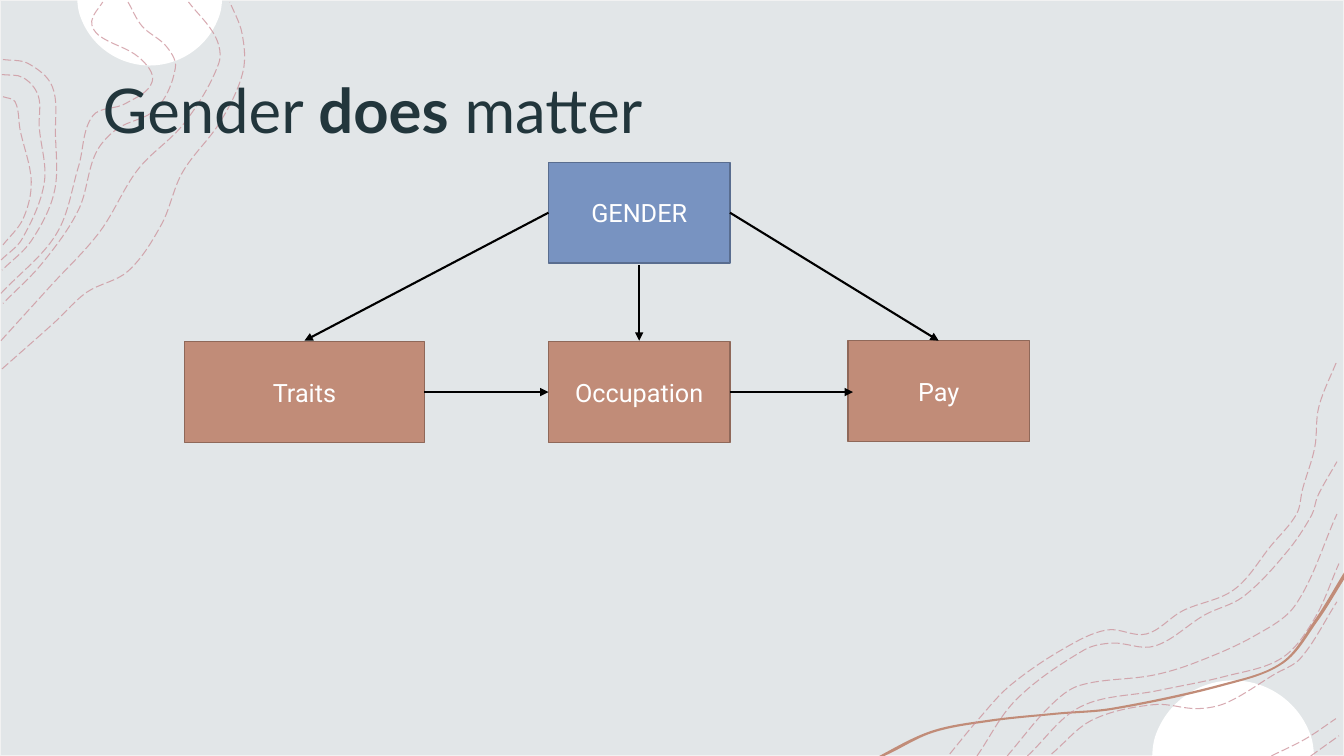
from math import acos, cos, hypot, pi, sin

from lxml.etree import SubElement
from pptx import Presentation
from pptx.dml.color import RGBColor
from pptx.enum.dml import MSO_LINE
from pptx.enum.shapes import MSO_CONNECTOR, MSO_SHAPE
from pptx.enum.text import MSO_ANCHOR, PP_ALIGN
from pptx.oxml.ns import qn
from pptx.util import Inches, Pt

COLUMNS, ROWS = 1333, 750
CELL = Inches(0.01)

COLORS = {
    "background": "E2E6E8", "frame": "F2F2F2", "white": "FFFFFF",
    "contour": "CC9099", "clay": "C18C78", "clay_edge": "8F6859",
    "blue": "7893C1", "blue_edge": "596D8F", "title": "22363C", "arrow": "000000",
}

LEFT_CONTOURS = [
    [(2, 366), (55, 319), (86, 290), (127, 269), (160, 223), (181, 171), (219, 120),
     (241, 71), (240, 33), (228, 2)],
    [(1, 338), (50, 284), (99, 230), (137, 168), (183, 122), (217, 63), (214, 37), (187, 2)],
    [(127, 2), (141, 26), (165, 46), (174, 67), (155, 108), (116, 128), (95, 152), (78, 208),
     (42, 261), (3, 301)],
    [(1, 291), (56, 232), (78, 165), (92, 115), (124, 103), (151, 81), (138, 57), (98, 35),
     (91, 21), (102, 2)],
    [(3, 59), (28, 63), (52, 86), (55, 132), (54, 190), (31, 239), (2, 268)],
    [(2, 74), (23, 77), (38, 95), (39, 126), (44, 181), (22, 237), (1, 258)],
    [(3, 96), (15, 101), (20, 129), (31, 180), (23, 217), (3, 243)],
]

RIGHT_CONTOURS = [
    [(942, 748), (971, 713), (1002, 680), (1056, 643), (1098, 625), (1137, 629), (1173, 606),
     (1224, 585), (1261, 541), (1286, 510), (1292, 485), (1304, 444), (1308, 404), (1326, 358)],
    [(969, 750), (1008, 694), (1075, 645), (1103, 638), (1145, 641), (1195, 610), (1233, 592),
     (1276, 548), (1301, 511), (1307, 492), (1326, 458)],
    [(1300, 750), (1328, 730)],
    [(1261, 750), (1295, 733), (1325, 713)],
    [(1043, 748), (1084, 714), (1145, 699), (1188, 703), (1217, 697), (1264, 669), (1290, 653),
     (1326, 597)],
    [(1019, 750), (1072, 701), (1149, 685), (1215, 671), (1271, 653), (1303, 615), (1328, 559)],
    [(999, 750), (1042, 700), (1071, 680), (1143, 670), (1184, 658), (1244, 631), (1285, 600),
     (1326, 510)],
]

BAND = [
    (1333, 575), (1307, 616), (1273, 658), (1215, 680), (1105, 704), (1048, 709), (982, 716),
    (925, 727), (877, 750),
    (872, 750), (924, 725), (981, 714), (1048, 707), (1104, 702), (1214, 678), (1271, 657),
    (1304, 615), (1333, 568),
]

BOXES = [
    ("Traits", 183, 339, 238, "clay"),
    ("Occupation", 544, 339, 180, "clay"),
    ("Pay", 841, 338, 180, "clay"),
    ("GENDER", 544, 161, 180, "blue"),
]
BOX_HEIGHT = 100

ARROWS = [
    ((421, 389), (544, 389)),
    ((724, 389), (846, 389)),
    ((544, 211), (302, 338)),
    ((634, 263), (634, 338)),
    ((724, 211), (931, 338)),
]


def grid(*cells):
    return [round(cell * CELL) for cell in cells]


def rgb(name):
    return RGBColor.from_string(COLORS[name])


def paint(shape, fill=None, edge=None, width=1):
    shape.shadow.inherit = False
    if fill:
        shape.fill.solid()
        shape.fill.fore_color.rgb = rgb(fill)
    else:
        shape.fill.background()
    if edge:
        shape.line.color.rgb = rgb(edge)
        shape.line.width = Pt(width)
    else:
        shape.line.fill.background()


def handle(anchor, before, after, toward):
    span = hypot(after[0] - before[0], after[1] - before[1])
    reach = hypot(toward[0] - anchor[0], toward[1] - anchor[1]) / 3
    return [a + (n - b) * reach / span for a, b, n in zip(anchor, before, after)]


def bend(shape):
    points = [(int(point.get("x")), int(point.get("y")))
              for point in shape._element.iter(qn("a:pt"))]
    padded = [points[0], *points, points[-1]]
    segments = list(shape._element.iter(qn("a:lnTo")))
    for segment, before, start, end, after in zip(
            segments, padded, padded[1:], padded[2:], padded[3:]):
        leaving = handle(start, before, end, end)
        arriving = handle(end, after, start, start)
        segment.tag = qn("a:cubicBezTo")
        for index, (x, y) in enumerate((leaving, arriving)):
            point = SubElement(segment, qn("a:pt"), x=str(round(x)), y=str(round(y)))
            segment.insert(index, point)


def add_curve(slide, points, close):
    first, *rest = [grid(*point) for point in points]
    builder = slide.shapes.build_freeform(*first, scale=1.0)
    builder.add_line_segments(rest, close=close)
    shape = builder.convert_to_shape()
    bend(shape)
    return shape


def add_contour(slide, points):
    shape = add_curve(slide, points, False)
    paint(shape, edge="contour", width=0.75)
    shape.line.dash_style = MSO_LINE.LONG_DASH
    color = next(shape.line._ln.iter(qn("a:srgbClr")))
    SubElement(color, qn("a:alpha"), val="75000")


def add_cap(slide, center, radius, edge_row, steps=8):
    column, row = center
    half = acos((edge_row - row) / radius) if edge_row > row else acos((row - edge_row) / radius)
    middle = pi / 2 if row < ROWS / 2 else -pi / 2
    half = pi - half if (edge_row > row) == (middle > 0) else half
    angles = [middle - half + 2 * half * step / steps for step in range(steps + 1)]
    arc = [(column + radius * cos(angle), row + radius * sin(angle)) for angle in angles]
    paint(add_curve(slide, arc, True), "white")


def add_run(paragraph, text, size, font, color, bold=False):
    run = paragraph.add_run()
    run.text = text
    run.font.size = Pt(size)
    run.font.name = font
    run.font.bold = bold
    run.font.color.rgb = rgb(color)


def add_title(slide, parts):
    frame = slide.shapes.add_textbox(*grid(92, 40, 1150, 145)).text_frame
    frame.word_wrap = True
    frame.vertical_anchor = MSO_ANCHOR.MIDDLE
    paragraph = frame.paragraphs[0]
    paragraph.line_spacing = 0.9
    for text, bold in parts:
        add_run(paragraph, text, 44, "Lato", "title", bold)


def add_box(slide, label, left, top, width, color):
    shape = slide.shapes.add_shape(MSO_SHAPE.RECTANGLE, *grid(left, top, width, BOX_HEIGHT))
    paint(shape, color, f"{color}_edge")
    shape.text_frame.vertical_anchor = MSO_ANCHOR.MIDDLE
    paragraph = shape.text_frame.paragraphs[0]
    paragraph.alignment = PP_ALIGN.CENTER
    add_run(paragraph, label, 18, "Roboto", "white")


def add_arrow(slide, start, end):
    connector = slide.shapes.add_connector(MSO_CONNECTOR.STRAIGHT, *grid(*start, *end))
    connector.line.color.rgb = rgb("arrow")
    connector.line.width = Pt(1.5)
    SubElement(connector.line._ln, qn("a:tailEnd"), type="triangle")
    SubElement(connector._element.spPr, qn("a:effectLst"))


def main():
    presentation = Presentation()
    presentation.slide_width, presentation.slide_height = grid(COLUMNS, ROWS)
    slide = presentation.slides.add_slide(presentation.slide_layouts[6])

    backdrop = slide.shapes.add_shape(MSO_SHAPE.RECTANGLE, *grid(0, 0, COLUMNS, ROWS))
    paint(backdrop, "background", "frame")
    add_cap(slide, (148.5, -8), 73, 0)
    add_cap(slide, (1223, 756.5), 81.5, 749)
    paint(add_curve(slide, BAND, True), "clay")
    for points in LEFT_CONTOURS + RIGHT_CONTOURS:
        add_contour(slide, points)

    add_title(slide, [("Gender ", False), ("does", True), (" matter", False)])
    for box in BOXES:
        add_box(slide, *box)
    for start, end in ARROWS:
        add_arrow(slide, start, end)
    presentation.save("out.pptx")


if __name__ == "__main__":
    main()
